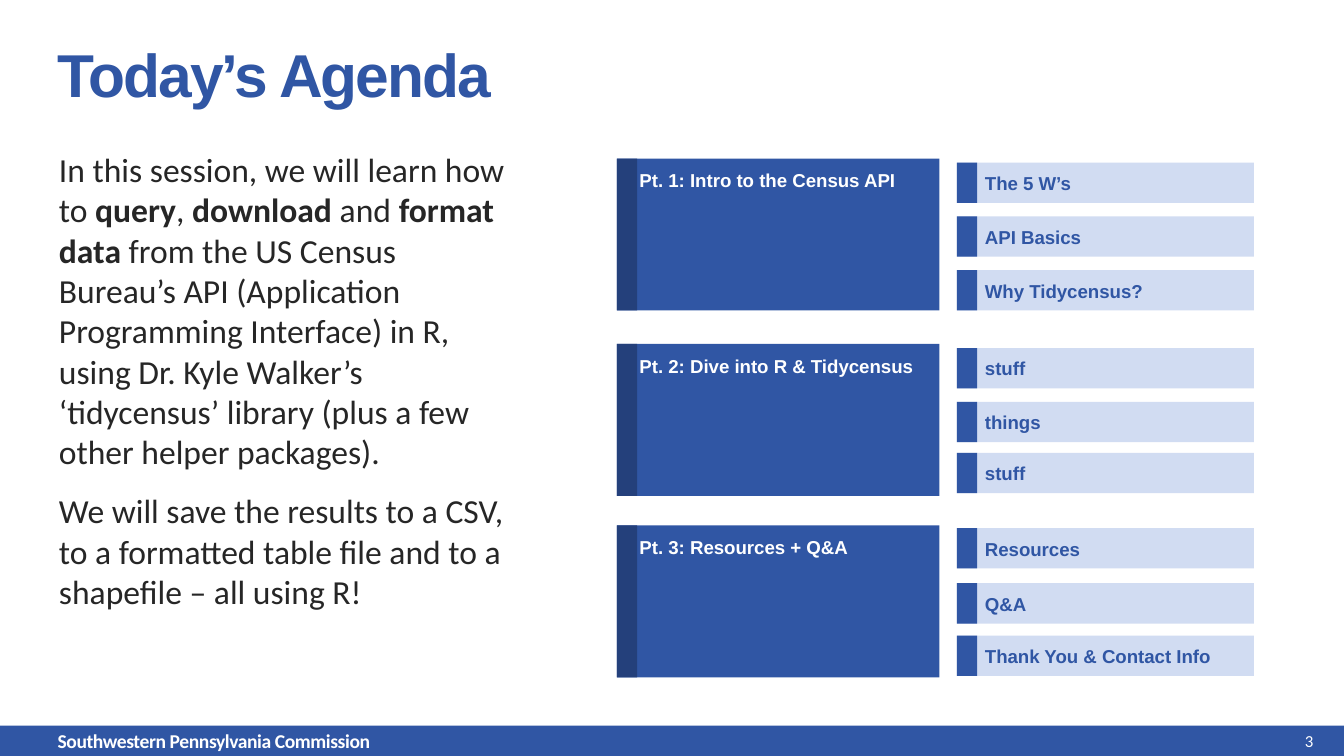
from dataclasses import dataclass

from pptx import Presentation
from pptx import util as u
from pptx.dml import color
from pptx.enum import shapes, text


@dataclass(frozen=True)
class Theme:
    blue: str = "3056A4"
    navy: str = "24407B"
    pale: str = "D1DCF2"
    ink: str = "262626"
    white: str = "FFFFFF"
    heading: str = "Arial"
    body: str = "Calibri"
    title_size: float = 32.4
    body_size: float = 18
    label_size: float = 10
    footer_size: float = 10.5
    number_size: float = 9


T = Theme()

INTRO = [
    [("In this session, we will learn how to ", False), ("query", True), (", ", False),
     ("download", True), (" and ", False), ("format data", True),
     (" from the US Census Bureau’s API (Application Programming Interface) in R, "
      "using Dr. Kyle Walker’s ‘tidycensus’ library (plus a few other helper packages).", False)],
    [("We will save the results to a CSV, to a formatted table file and to a "
      "shapefile – all using R!", False)],
]

SECTIONS = [
    (1.18, "Pt. 1: Intro to the Census API",
     [(0.03, "The 5 W’s"), (0.43, "API Basics"), (0.83, "Why Tidycensus?")]),
    (2.56, "Pt. 2: Dive into R & Tidycensus",
     [(0.03, "stuff"), (0.43, "things"), (0.81, "stuff")]),
    (3.91, "Pt. 3: Resources + Q&A",
     [(0.02, "Resources"), (0.43, "Q&A"), (0.82, "Thank You & Contact Info")]),
]


def add_text(s, box, paragraphs, font=T.heading, size=T.label_size, fill=T.blue, bold=True,
             align=text.PP_ALIGN.LEFT, anchor=text.MSO_ANCHOR.TOP, before=0, spacing=0):
    if isinstance(paragraphs, str):
        paragraphs = [[(paragraphs, bold)]]
    tf = s.shapes.add_textbox(*map(u.Inches, box)).text_frame
    tf.word_wrap = True
    tf.vertical_anchor = anchor
    for i, runs in enumerate(paragraphs):
        p = tf.paragraphs[0] if i == 0 else tf.add_paragraph()
        p.alignment = align
        p.space_before = u.Pt(before if i else 0)
        for words, strong in runs:
            r = p.add_run()
            r.text = words
            r.font.name = font
            r.font.size = u.Pt(size)
            r.font.bold = strong
            r.font.color.rgb = color.RGBColor.from_string(fill)
            if spacing:
                r.font._element.set("spc", str(round(spacing * 100)))


def add_block(parent, kind, box, fill):
    sp = parent.shapes.add_shape(kind, *map(u.Inches, box))
    sp.shadow.inherit = False
    sp.fill.solid()
    sp.fill.fore_color.rgb = color.RGBColor.from_string(fill)
    sp.line.fill.background()
    return sp


def add_bar(s, box, fill, edge):
    x, y, w, h = box
    group = s.shapes.add_group_shape()
    for width, shade in ((w, fill), (0.15, edge)):
        sp = add_block(group, shapes.MSO_SHAPE.PENTAGON, (x, y, width, h), shade)
        sp.adjustments[0] = 0


def add_section(s, box, heading, topics):
    x, y, w, h = box
    add_bar(s, (x, y, 2.4, h), T.blue, T.navy)
    add_text(s, (x + 0.07, y + 0.03, 2.33, 0.27), heading, fill=T.white)
    left, width = x + 2.53, w - 2.53
    for offset, topic in topics:
        top = y + offset
        add_bar(s, (left, top, width, 0.3), T.pale, T.blue)
        add_text(s, (left + 0.11, top + 0.02, width, 0.27), topic)


def add_footer(s, box):
    x, y, w, h = box
    add_block(s, shapes.MSO_SHAPE.RECTANGLE, box, T.blue)
    style = dict(font=T.body, fill=T.white, anchor=text.MSO_ANCHOR.MIDDLE)
    add_text(s, (x + 0.33, y, 2.85, h), "Southwestern Pennsylvania Commission",
             size=T.footer_size, spacing=-0.2, **style)
    add_text(s, (x + w - 2.98, y, 2.85, h), "3", size=T.number_size, bold=False,
             align=text.PP_ALIGN.RIGHT, **style)


def add_intro(s, box):
    x, y, w, h = box
    add_text(s, (x, y, 9.33, 0.67), "Today’s Agenda", size=T.title_size, spacing=-1)
    add_text(s, (x + 0.01, y + 0.83, w, h - 0.83), INTRO, font=T.body, size=T.body_size,
             fill=T.ink, before=10)


def main():
    prs = Presentation()
    prs.slide_width = u.Inches(10)
    prs.slide_height = prs.slide_width * 9 // 16
    s = prs.slides.add_slide(prs.slide_layouts[6])
    add_footer(s, (0, 5.4, 10, 0.23))
    add_intro(s, (0.33, 0.23, 3.62, 4.89))
    for top, heading, topics in SECTIONS:
        add_section(s, (4.59, top, 4.74, 1.13), heading, topics)
    prs.save("out.pptx")


if __name__ == "__main__":
    main()
